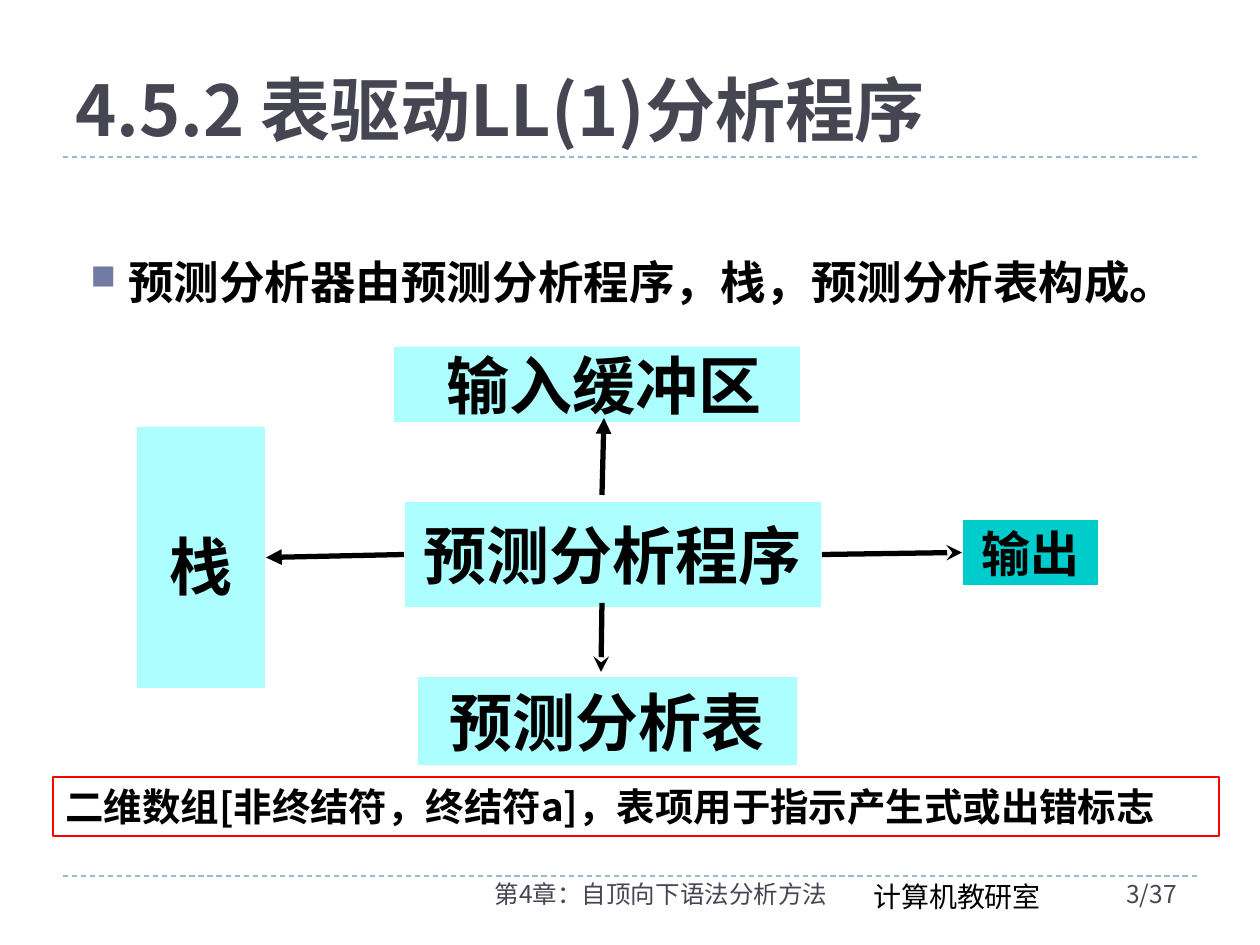
import pptx
import pptx.dml.color
import pptx.enum.dml
import pptx.enum.shapes
import pptx.enum.text
import pptx.oxml.ns
import pptx.util
from lxml import etree

PX = 914400 / 126
COLORS = {"ink": "000000", "heading": "464653", "rule": "9FB8CD", "bullet": "727CA3",
          "box": "ADFFFF", "output": "00CCCC", "border": "FFFFFF", "note": "FF0000"}
BODY_FONT, FOOTER_FONT = "Noto Sans CJK SC", "Noto Sans CJK JP"
ALIGN = pptx.enum.text.PP_ALIGN
ANCHOR = pptx.enum.text.MSO_ANCHOR


def px(length):
    """Turn px into EMU."""
    return pptx.util.Emu(round(length * PX))


def color(name):
    """Return a named colour."""
    return pptx.dml.color.RGBColor.from_string(COLORS[name])


def add_element(parent, tag, **attributes):
    """Append a drawing element with its attributes."""
    return etree.SubElement(parent, pptx.oxml.ns.qn(tag), attributes)


def write(shape, text, size, ink="ink", font=BODY_FONT, bold=True,
          align=ALIGN.LEFT, anchor=ANCHOR.TOP):
    """Fill a shape with one formatted paragraph and return it."""
    frame = shape.text_frame
    frame.text = text
    frame.word_wrap = True
    frame.vertical_anchor = anchor
    paragraph = frame.paragraphs[0]
    paragraph.alignment = align
    for run in paragraph.runs:
        run.font.size = pptx.util.Pt(size)
        run.font.bold = bold
        run.font.name = font
        run.font.color.rgb = color(ink)
        add_element(run.font._element, "a:ea", typeface=font)
    return paragraph


def add_text(slide, box, text, size, **style):
    """Add a text box and return its paragraph."""
    return write(slide.shapes.add_textbox(*map(px, box)), text, size, **style)


def add_box(slide, box, fill, border, width):
    """Add a rectangle with an optional fill."""
    shape = slide.shapes.add_shape(pptx.enum.shapes.MSO_SHAPE.RECTANGLE, *map(px, box))
    shape.shadow.inherit = False
    if fill:
        shape.fill.solid()
        shape.fill.fore_color.rgb = color(fill)
    else:
        shape.fill.background()
    shape.line.color.rgb = color(border)
    shape.line.width = pptx.util.Pt(width)
    return shape


def add_line(slide, start, end, ink, width):
    """Add a straight connector without a shadow."""
    line = slide.shapes.add_connector(
        pptx.enum.shapes.MSO_CONNECTOR.STRAIGHT, *map(px, (*start, *end)))
    line.line.color.rgb = color(ink)
    line.line.width = pptx.util.Pt(width)
    add_element(line._element.spPr, "a:effectLst")
    return line


def add_arrow(slide, start, end, head):
    """Add a thick line with an arrowhead at its end."""
    arrow = add_line(slide, start, end, "ink", 3)
    add_element(arrow.line._get_or_add_ln(), "a:tailEnd", type=head)
    return arrow


def add_rule(slide, left, top, width):
    """Add a dashed horizontal rule."""
    rule = add_line(slide, (left, top), (left + width, top), "rule", 0.75)
    rule.line.dash_style = pptx.enum.dml.MSO_LINE.DASH


def add_title(slide, box):
    """Place the heading with the rule beneath it."""
    left, top, width, height = box
    add_rule(slide, left, top + height, width)
    add_text(slide, box, "4.5.2 表驱动LL(1)分析程序", 40, ink="heading", anchor=ANCHOR.BOTTOM)


def add_statement(slide, box):
    """Place the bulleted statement."""
    paragraph = add_text(slide, box, "预测分析器由预测分析程序，栈，预测分析表构成。", 26)
    paragraph.line_spacing = 1.1
    properties = paragraph._p.get_or_add_pPr()
    indent = px(38)
    properties.set("marL", str(indent))
    properties.set("indent", str(-indent))
    bullet_color = add_element(properties, "a:buClr")
    add_element(bullet_color, "a:srgbClr", val=COLORS["bullet"])
    add_element(properties, "a:buSzPct", val="76000")
    add_element(properties, "a:buChar", char="■")


def add_diagram(slide, box):
    """Place the parser parts and the arrows between them."""
    left, top = box[:2]
    parts = {
        "input": ("输入缓冲区", (257, 0, 408, 77), "box", 36),
        "stack": ("栈", (0, 80, 130, 263), "box", 36),
        "program": ("预测分析程序", (268, 155, 418, 107), "box", 36),
        "table": ("预测分析表", (281, 330, 381, 90), "box", 36),
        "output": ("输出", (826, 173, 137, 67), "output", 28),
    }
    shapes = {}
    for name, (text, (x, y, width, height), fill, size) in parts.items():
        shape = add_box(slide, (left + x, top + y, width, height), fill, "border", 1)
        write(shape, text, size, align=ALIGN.CENTER, anchor=ANCHOR.MIDDLE)
        shapes[name] = shape
    shapes["input"].text_frame.margin_left = px(27)
    shapes["stack"].text_frame.paragraphs[0].line_spacing = 1.2

    for start, end, head in (((466, 149), (468, 72), "triangle"),
                             ((466, 257), (465, 326), "stealth")):
        add_arrow(slide, (left + start[0], top + start[1]),
                  (left + end[0], top + end[1]), head)
    for side, target, target_side, head in ((1, "stack", 3, "triangle"),
                                            (3, "output", 1, "stealth")):
        arrow = add_arrow(slide, (left, top), (left, top), head)
        arrow.begin_connect(shapes["program"], side)
        arrow.end_connect(shapes[target], target_side)


def add_note(slide, box):
    """Place the outlined note about the table."""
    shape = add_box(slide, box, None, "note", 0.75)
    write(shape, "二维数组[非终结符，终结符a]，表项用于指示产生式或出错标志", 22)


def add_footer(slide, box):
    """Place the rule, chapter, department and page number."""
    left, top, width, height = box
    add_rule(slide, left, top, width)
    top -= 3
    style = {"font": FOOTER_FONT, "bold": False}
    add_text(slide, (left + 294, top, 483, height), "第4章：自顶向下语法分析方法", 14,
             ink="heading", align=ALIGN.RIGHT, **style)
    add_text(slide, (left + 798, top, 209, height), "计算机教研室", 16, **style)
    add_text(slide, (left + 1051, top, 136, height), "3/37", 14, ink="heading", **style)


def main():
    """Build and save the slide."""
    presentation = pptx.Presentation()
    presentation.slide_width, presentation.slide_height = px(1260), px(945)
    slide = presentation.slides.add_slide(presentation.slide_layouts[6])
    add_title(slide, (63, 21, 1134, 136))
    add_statement(slide, (78, 242, 1150, 84))
    add_diagram(slide, (136, 346, 963, 420))
    add_note(slide, (53, 777, 1166, 59))
    add_footer(slide, (63, 876, 1134, 50))
    presentation.save("out.pptx")


if __name__ == "__main__":
    main()
